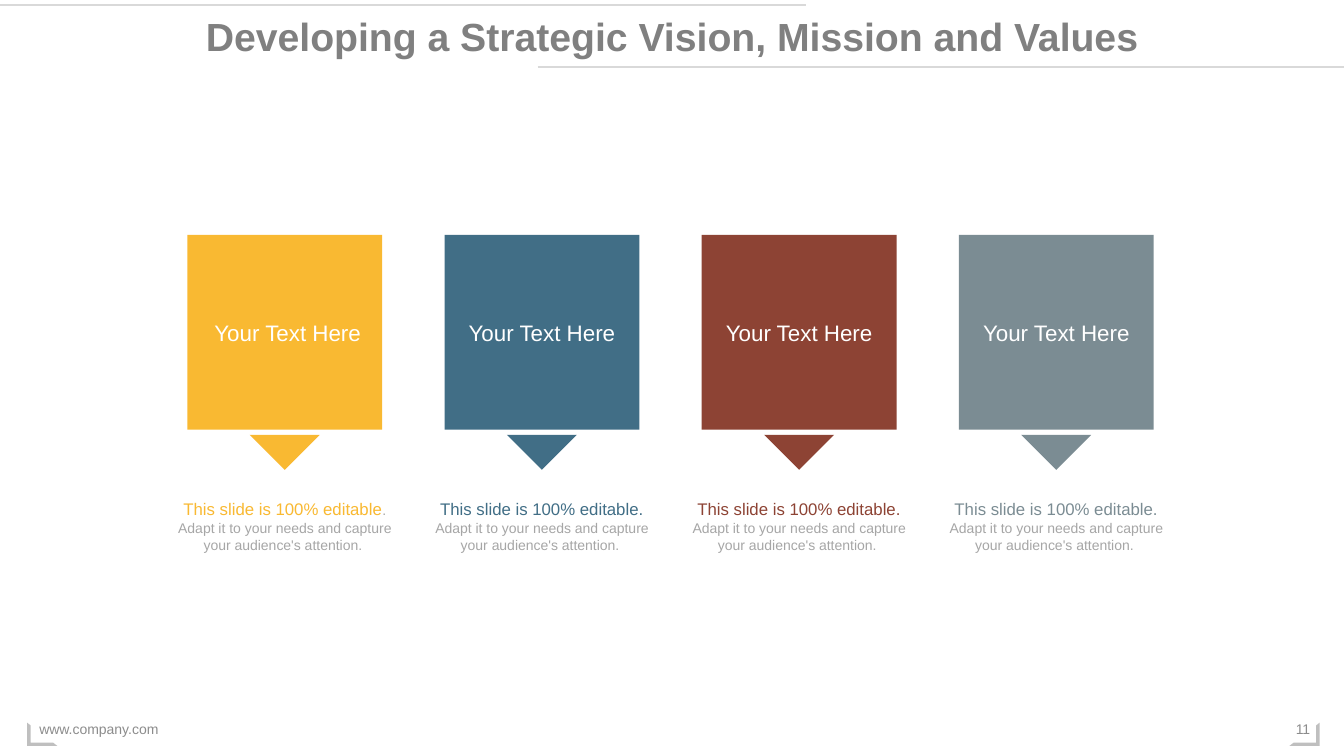
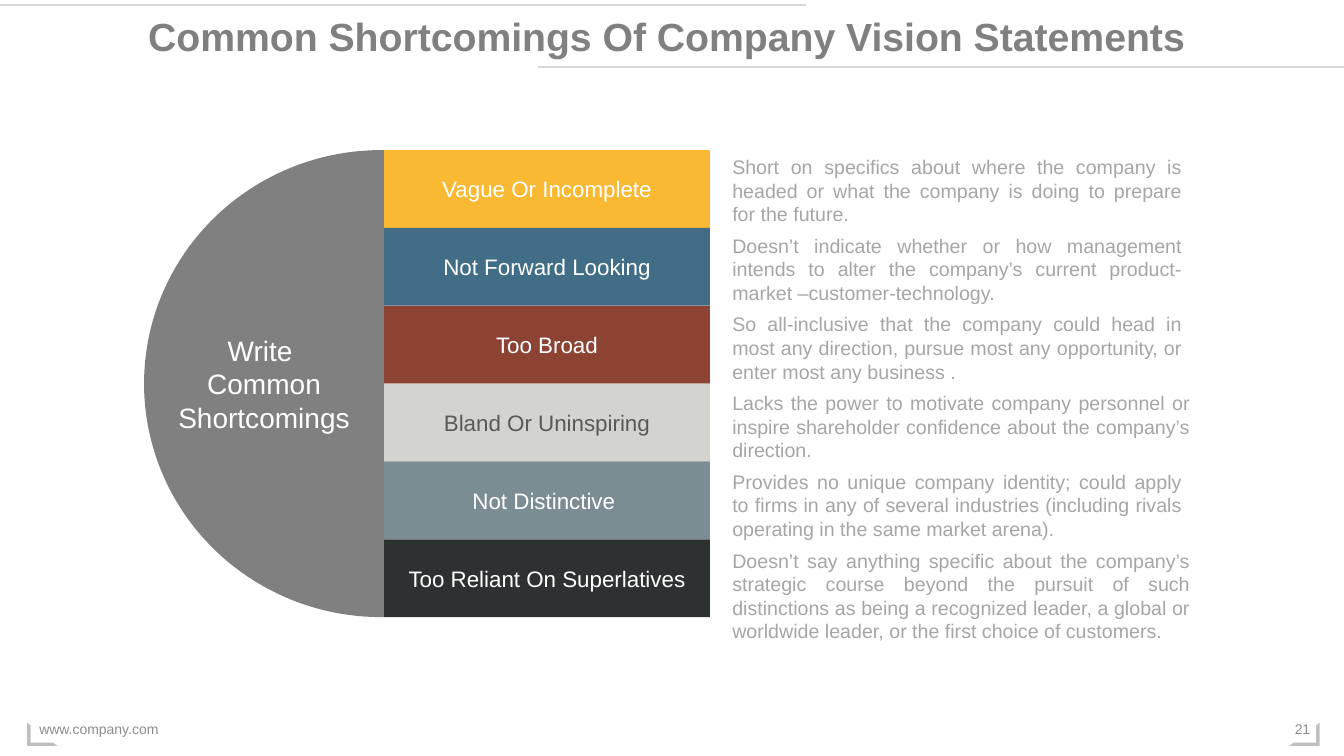
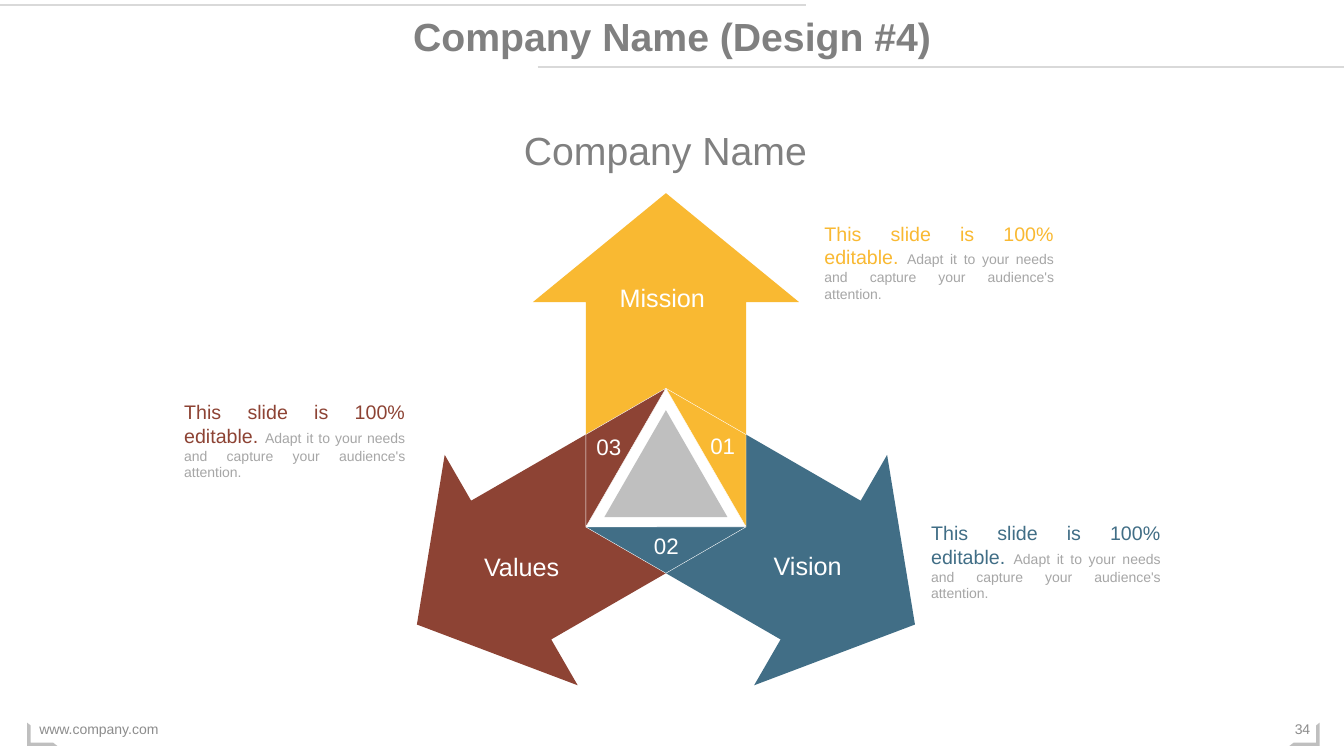
from math import cos, sin, pi, radians

from lxml.etree import SubElement
from pptx import Presentation
from pptx.dml.color import RGBColor
from pptx.enum.shapes import MSO_CONNECTOR, MSO_SHAPE
from pptx.enum.text import MSO_ANCHOR, PP_ALIGN
from pptx.oxml.ns import qn
from pptx.util import Pt

FONT = "Arial"
GOLD = RGBColor(0xF9, 0xB9, 0x32)
BLUE = RGBColor(0x41, 0x6E, 0x86)
RUST = RGBColor(0x8D, 0x43, 0x34)
SLATE = RGBColor(0x7B, 0x8C, 0x93)
STONE = RGBColor(0xD3, 0xD4, 0xCE)
INK = RGBColor(0x2E, 0x31, 0x31)
DARK = RGBColor(0x59, 0x59, 0x59)
GRAY = RGBColor(0x80, 0x80, 0x80)
FOOT = RGBColor(0x8C, 0x8C, 0x8C)
SOFT = RGBColor(0xA6, 0xA6, 0xA6)
SILVER = RGBColor(0xBF, 0xBF, 0xBF)
RULE = RGBColor(0xD9, 0xD9, 0xD9)
WHITE = RGBColor(0xFF, 0xFF, 0xFF)

LEAD = "This slide is 100% editable"
HINT = "Adapt it to your needs and capture your audience's attention. "


def write(frame, *paras, size=16, color=WHITE, bold=False,
          align=PP_ALIGN.CENTER, anchor=MSO_ANCHOR.TOP):
    """Fill a frame; a paragraph is a string or a list of (text, size, color)."""
    frame.word_wrap = True
    frame.vertical_anchor = anchor
    for i, para in enumerate(paras):
        line = frame.add_paragraph() if i else frame.paragraphs[0]
        line.alignment = align
        runs = [(para, size, color)] if isinstance(para, str) else para
        for words, points, tint in runs:
            run = line.add_run()
            run.text = words
            run.font.name = FONT
            run.font.size = Pt(points)
            run.font.bold = bold
            run.font.color.rgb = tint


class Deck:
    def __init__(self):
        self.prs = Presentation()
        self.prs.slide_width, self.prs.slide_height = Pt(960), Pt(540)
        self.slide = None

    def page(self, title, number):
        """Start a slide with its title, rules and footer."""
        layout = self.prs.slide_layouts.get_by_name("Title Only")
        self.slide = self.prs.slides.add_slide(layout)
        head = self.slide.shapes.title
        head.left, head.top, head.width, head.height = map(Pt, (0, 5, 960, 41))
        write(head.text_frame, title, size=28, color=GRAY, bold=True)
        self.rule(0, 576, 3.6)
        self.rule(384, 960, 48)
        self.corner(921)
        self.corner(19.4, flip=True)
        style = dict(size=10, color=FOOT, anchor=MSO_ANCHOR.MIDDLE)
        self.text((21, 506, 324, 29), "www.company.com",
                  align=PP_ALIGN.LEFT, **style)
        self.text((913, 506, 30, 29), str(number),
                  align=PP_ALIGN.RIGHT, **style)

    def rule(self, start, end, y):
        line = self.slide.shapes.add_connector(
            MSO_CONNECTOR.STRAIGHT, Pt(start), Pt(y), Pt(end), Pt(y))
        line.line.color.rgb = RULE
        line.line.width = Pt(1.5)
        SubElement(line._element.spPr, qn("a:effectLst"))

    def corner(self, left, flip=False):
        mark = self.shape(MSO_SHAPE.HALF_FRAME, (left, 516.2, 21.6, 16.6), SILVER)
        mark.adjustments[0], mark.adjustments[1] = 0.14, 0.15
        mark.rotation = 180
        if flip:
            mark._element.spPr.xfrm.set("flipH", "1")

    def paint(self, shape, fill, edge=None):
        shape.shadow.inherit = False
        shape.fill.solid()
        shape.fill.fore_color.rgb = fill
        if edge is None:
            shape.line.fill.background()
        else:
            shape.line.color.rgb = edge
            shape.line.width = Pt(0.25)
        return shape

    def shape(self, kind, box, fill, *paras, **style):
        item = self.slide.shapes.add_shape(kind, *map(Pt, box))
        if paras:
            write(item.text_frame, *paras, anchor=MSO_ANCHOR.MIDDLE, **style)
        return self.paint(item, fill)

    def outline(self, points, fill, edge=None):
        spots = [(Pt(x), Pt(y)) for x, y in points]
        path = self.slide.shapes.build_freeform(*spots[0])
        path.add_line_segments(spots[1:], close=True)
        return self.paint(path.convert_to_shape(), fill, edge)

    def text(self, box, *paras, **style):
        item = self.slide.shapes.add_textbox(*map(Pt, box))
        write(item.text_frame, *paras, **style)

    def caption(self, box, color, size, align, dot=True):
        """Coloured lead and grey hint; dot puts the full stop in the lead."""
        lead, hint = (LEAD + ". ", HINT) if dot else (LEAD, ". " + HINT)
        self.text(box, [(lead, size, color), (hint, 10, SOFT)], align=align)


def cards(deck):
    deck.page("Developing a Strategic Vision, Mission and Values", 11)
    side = 139.2
    for i, color in enumerate((GOLD, BLUE, RUST, SLATE)):
        left = 133.8 + 183.7 * i
        mid = left + side / 2
        label = "Your Text Here" if i else " Your Text Here"
        deck.shape(MSO_SHAPE.RECTANGLE, (left, 167.7, side, side), color, label)
        deck.shape(MSO_SHAPE.FLOWCHART_MERGE, (mid - 25, 310.6, 50, 25), color)
        deck.caption((mid - 91.5, 353, 183, 46), color, 12,
                     PP_ALIGN.CENTER, dot=i > 0)


def flaws(deck):
    deck.page("Common Shortcomings Of Company Vision Statements ", 21)
    # Half disc
    top, high, edge = 107.2, 333.6, 274.3
    arc = [(272.3 - 169.4 * sin(pi * k / 90),
            top + high / 2 * (1 - cos(pi * k / 90))) for k in range(91)]
    disc = deck.outline([(edge, top), *arc, (edge, top + high)], GRAY)
    write(disc.text_frame, "Write ", "Common Shortcomings",
          size=20, anchor=MSO_ANCHOR.MIDDLE)
    # Bands with their explanations
    rows = [
        ("Vague Or Incomplete", GOLD, WHITE, 335.5,
         "Short on specifics about where the company is headed or what the "
         "company is doing to prepare for the future."),
        ("Not Forward Looking", BLUE, WHITE, 335.5,
         "Doesn’t indicate whether or how management intends to alter the "
         "company’s current product-market –customer-technology."),
        ("Too Broad", RUST, WHITE, 335.5,
         "So all-inclusive that the company could head in most any direction, "
         "pursue most any opportunity, or enter most any business ."),
        ("Bland Or Uninspiring", STONE, DARK, 341.3,
         "Lacks the power to motivate company personnel or inspire "
         "shareholder confidence about the company’s direction."),
        ("Not Distinctive ", SLATE, WHITE, 335.5,
         "Provides no unique company identity; could apply to firms in any of "
         "several industries (including rivals operating in the same market "
         "arena)."),
        ("Too Reliant On Superlatives", INK, WHITE, 341.3,
         "Doesn’t say anything specific about the company’s strategic course "
         "beyond the pursuit of such distinctions as being a recognized "
         "leader, a global or worldwide leader, or the first choice of "
         "customers."),
    ]
    step = high / len(rows)
    for i, (name, fill, tint, wide, note) in enumerate(rows):
        deck.shape(MSO_SHAPE.RECTANGLE, (edge, top + step * i, 232.8, step),
                   fill, name, color=tint)
        deck.text((516, top + 56.2 * i, wide, 58), note, size=14, color=SOFT,
                  align=PP_ALIGN.JUSTIFY)


def wheel(deck):
    deck.page("Company Name (Design #4)", 34)
    hub_x, hub_y = 475.7, 343.4

    def turn(points, angle):
        c, s = cos(radians(angle)), sin(radians(angle))
        return [(hub_x + x * c - y * s, hub_y + x * s + y * c)
                for x, y in points]

    # Each arrow and wedge is the first one turned by a third
    arrow = [(0, -205.4), (95, -127.6), (57.2, -127.6), (57.2, -33), (0, -66),
             (-57.2, -33), (-57.2, -127.6), (-95, -127.6)]
    wedge = [(0, -66), (57.2, -33), (57.2, 33)]
    parts = list(zip((0, 120, 240), (GOLD, BLUE, RUST)))
    for angle, color in parts:
        deck.outline(turn(arrow, angle), color)
    # White core leaves a gap round the grey triangle
    deck.shape(MSO_SHAPE.ISOSCELES_TRIANGLE,
               (hub_x - 44, hub_y - 50.4, 88, 76.4), SILVER)
    for angle, color in parts:
        deck.outline(turn(wedge, angle), color, WHITE)
    # Labels by centre
    for words, size, x, y in (
            ("01", 16, 516.2, 318), ("02", 16, 475.9, 390),
            ("03", 16, 434.9, 319.3), ("Mission ", 18, 475.6, 212.4),
            ("Vision ", 18, 579.4, 404), ("Values", 18, 372.6, 404.6)):
        high = size * 1.2 + 7.2
        deck.text((x - 45, y - high / 2, 90, high), words, size=size)
    # Captions
    for left, top, wide, color in ((581.8, 154.8, 178, GOLD),
                                   (658, 368.6, 178, BLUE),
                                   (124.5, 282.2, 172, RUST)):
        deck.caption((left, top, wide, 65.5), color, 14, PP_ALIGN.JUSTIFY)
    deck.text((362.2, 87, 226, 41), "Company Name", size=28, color=GRAY)


def main():
    deck = Deck()
    cards(deck)
    flaws(deck)
    wheel(deck)
    deck.prs.save("out.pptx")


if __name__ == "__main__":
    main()
